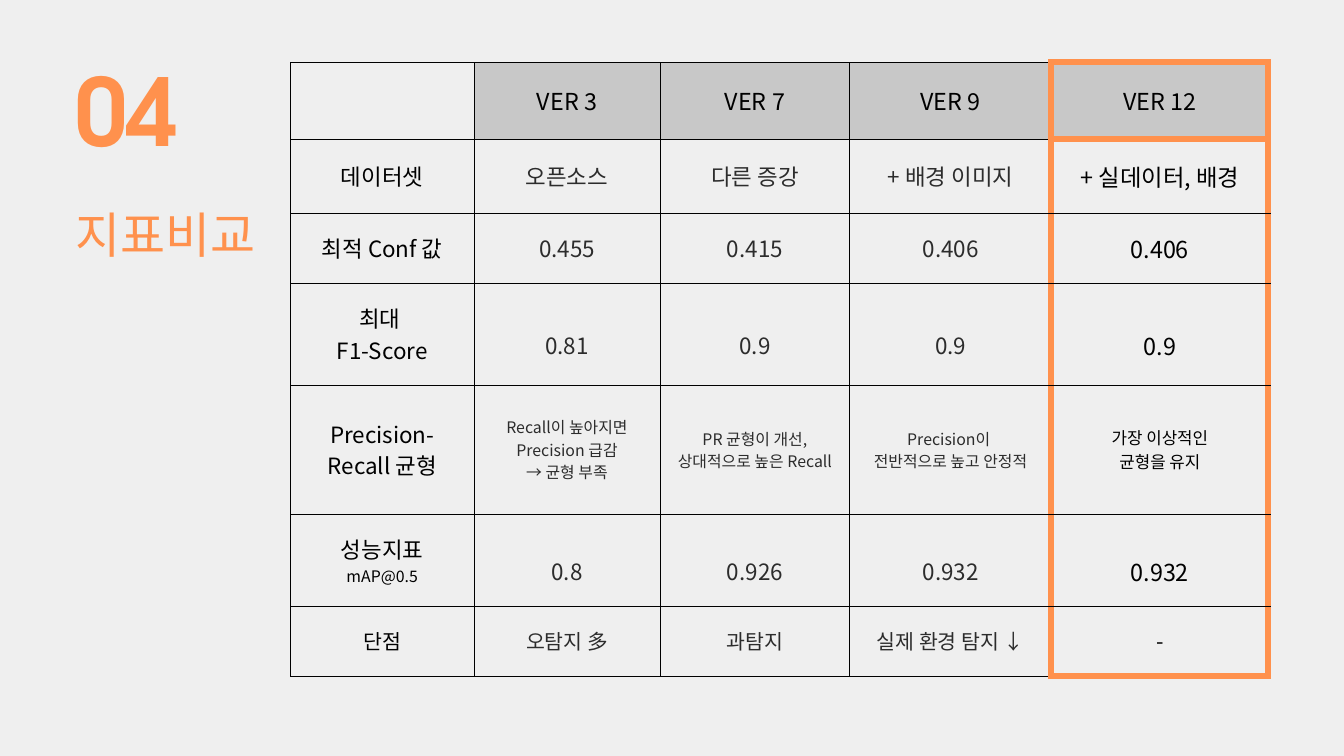
from lxml.etree import SubElement
from pptx import Presentation
from pptx.dml.color import RGBColor as RGB
from pptx.enum.text import MSO_ANCHOR as Anchor, PP_ALIGN as Align
from pptx.oxml.ns import qn
from pptx.util import Emu, Pt

EMU_PER_PX = 9525
COLORS = {
    "background": "EFEFEF",
    "accent": "FF914D",
    "header": "C8C8C8",
    "ink": "000000",
    "muted": "2C2C2C",
}
BODY_FONT = "Noto Sans CJK KR"
NUMBER_FONT = "TeX Gyre Adventor"
LEADING = 1.4
LOW_LEADING = 2.43

COLUMN_WIDTHS = [262, 266, 271, 288, 310]
ROW_HEIGHTS = [110, 106, 100, 145, 185, 131, 100]
CELL_INSET = 20
BEST = len(COLUMN_WIDTHS) - 1
LAST_ROW = len(ROW_HEIGHTS) - 1

VERSIONS = ["", "VER 3", "VER 7", "VER 9", "VER 12"]
# Label, label size, values, value size, value leading
METRICS = [
    ("데이터셋", 24, ["오픈소스", "다른 증강", "+ 배경 이미지", "+ 실데이터, 배경"], 24, LEADING),
    ("최적 Conf 값", 24, ["0.455", "0.415", "0.406", "0.406"], 24, LEADING),
    ("최대 \nF1-Score", 24, ["0.81", "0.9", "0.9", "0.9"], 24, LOW_LEADING),
    ("Precision-Recall 균형", 24,
     ["Recall이 높아지면 Precision 급감\n→ 균형 부족",
      "PR 균형이 개선,\n상대적으로 높은 Recall",
      "Precision이 \n전반적으로 높고 안정적",
      "가장 이상적인\n균형을 유지"], 17, LEADING),
    ("성능지표\nmAP@0.5", 24, ["0.8", "0.926", "0.932", "0.932"], 24, LOW_LEADING),
    ("단점", 22, ["오탐지 多", "과탐지", "실제 환경 탐지 ↓", "-"], 22, LEADING),
]
LINE_SIZES = {"mAP@0.5": 17}


def px(length):
    return Emu(length * EMU_PER_PX)


def write(frame, text, size, color, leading=LEADING, align=Align.LEFT,
          font=BODY_FONT, bold=False, tracking=None):
    """Fill a text frame, one paragraph per line of text."""
    frame.word_wrap = True
    for number, line in enumerate(text.split("\n")):
        paragraph = frame.add_paragraph() if number else frame.paragraphs[0]
        line_size = LINE_SIZES.get(line, size)
        paragraph.alignment = align
        paragraph.line_spacing = Pt(round(line_size * leading, 1))
        run = paragraph.add_run()
        run.text = line
        style = {"name": font, "size": Pt(line_size), "bold": bold}
        for attribute, value in style.items():
            setattr(run.font, attribute, value)
        run.font.color.rgb = RGB.from_string(COLORS[color])
        properties = run.font._element
        SubElement(properties, qn("a:ea"), typeface=font)
        if tracking is not None:
            properties.set("spc", str(round(tracking * 100)))


def add_label(slide, box, text, size, **style):
    frame = slide.shapes.add_textbox(*map(px, box)).text_frame
    for side in ("left", "top", "right", "bottom"):
        setattr(frame, f"margin_{side}", 0)
    write(frame, text, size, "accent", **style)


def add_title(slide, box):
    left, top, width, height = box
    add_label(slide, (left, top, 288, 200), "04", 100,
              font=NUMBER_FONT, bold=True, tracking=-1.7)
    add_label(slide, (left, top + height - 95, width, 95), "지표비교", 52.5, leading=1.398)


def set_borders(cell, row, column):
    """Thin lines everywhere, thick accent lines around the best version."""
    best = column == BEST
    accented = {
        "L": best,
        "R": column >= BEST - 1,
        "T": best and row <= 1,
        "B": best and row in (0, LAST_ROW),
    }
    properties = cell._tc.get_or_add_tcPr()
    for side, strong in accented.items():
        line = SubElement(properties, qn(f"a:ln{side}"),
                          w=str(Pt(7.5 if strong else 0.75)))
        fill = SubElement(line, qn("a:solidFill"))
        SubElement(fill, qn("a:srgbClr"), val=COLORS["accent" if strong else "ink"])


def format_cell(cell, row, column):
    for side in ("left", "top", "right", "bottom"):
        setattr(cell, f"margin_{side}", px(CELL_INSET))
    cell.vertical_anchor = Anchor.MIDDLE
    set_borders(cell, row, column)
    if row == 0 and column > 0:
        cell.fill.solid()
        cell.fill.fore_color.rgb = RGB.from_string(COLORS["header"])
    else:
        cell.fill.background()


def add_comparison(slide, left, top):
    box = (left, top, sum(COLUMN_WIDTHS), sum(ROW_HEIGHTS))
    table = slide.shapes.add_table(
        len(ROW_HEIGHTS), len(COLUMN_WIDTHS), *map(px, box)).table
    table.first_row = table.horz_banding = False
    for column, width in zip(table.columns, COLUMN_WIDTHS):
        column.width = px(width)
    for row, height in zip(table.rows, ROW_HEIGHTS):
        row.height = px(height)

    for row in range(len(ROW_HEIGHTS)):
        for column in range(len(COLUMN_WIDTHS)):
            format_cell(table.cell(row, column), row, column)

    for column, version in enumerate(VERSIONS):
        if version:
            write(table.cell(0, column).text_frame, version, 25, "ink", align=Align.CENTER)
    for row, (label, label_size, values, size, leading) in enumerate(METRICS, 1):
        write(table.cell(row, 0).text_frame, label, label_size, "ink", align=Align.CENTER)
        for column, value in enumerate(values, 1):
            best = column == BEST
            write(table.cell(row, column).text_frame, value, size + best,
                  "ink" if best else "muted", leading, Align.CENTER)


def main():
    deck = Presentation()
    deck.slide_width, deck.slide_height = px(1920), px(1080)
    slide = deck.slides.add_slide(deck.slide_layouts[6])
    slide.background.fill.solid()
    slide.background.fill.fore_color.rgb = RGB.from_string(COLORS["background"])
    add_comparison(slide, 415, 89)
    add_title(slide, (108, 49, 306, 324))
    deck.save("out.pptx")


if __name__ == "__main__":
    main()
